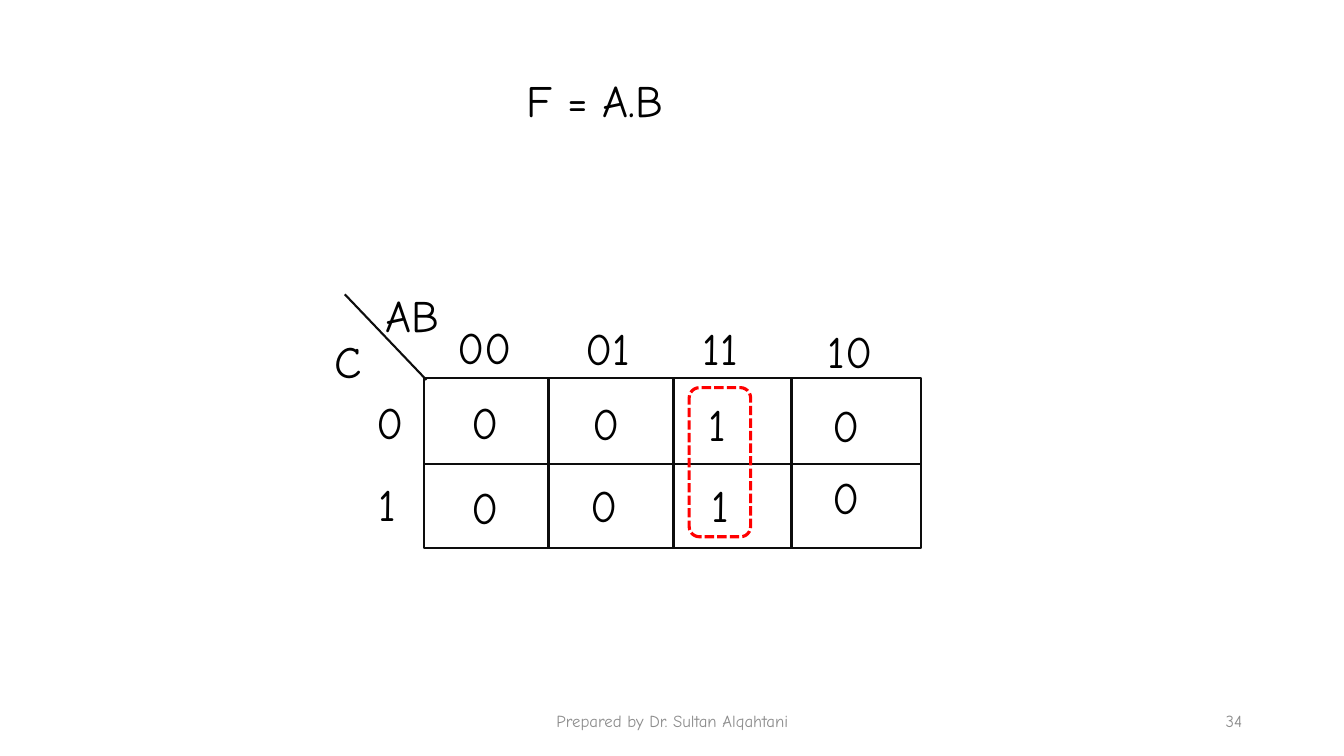
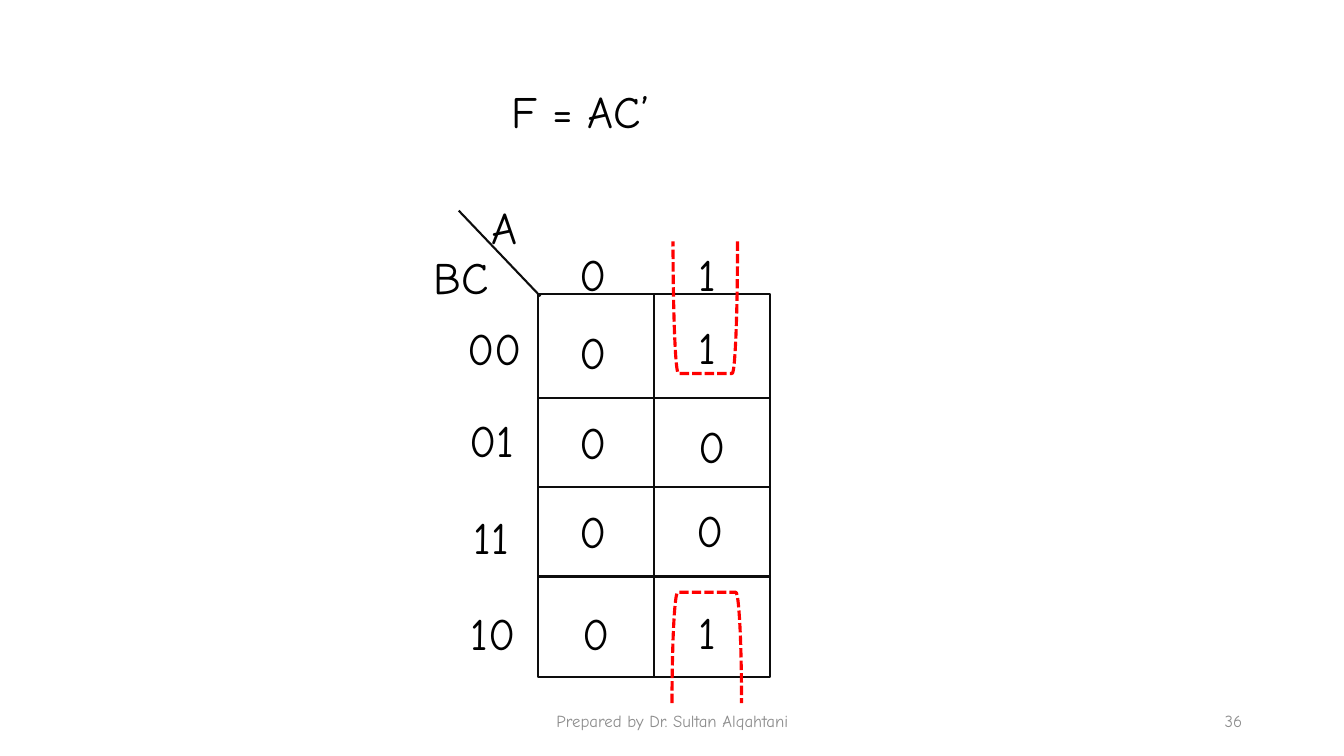
import pptx
import pptx.util
import pptx.dml.color
import pptx.enum.dml
import pptx.enum.shapes
import pptx.enum.text
import pptx.oxml.ns
import lxml.etree

Inches = pptx.util.Inches
Pt = pptx.util.Pt
RGBColor = pptx.dml.color.RGBColor
MSO_SHAPE = pptx.enum.shapes.MSO_SHAPE
PP_ALIGN = pptx.enum.text.PP_ALIGN
MSO_ANCHOR = pptx.enum.text.MSO_ANCHOR

BLACK = RGBColor(0x00, 0x00, 0x00)
INK = RGBColor(0x0D, 0x0D, 0x0D)
WHITE = RGBColor(0xFF, 0xFF, 0xFF)
RED = RGBColor(0xFF, 0x00, 0x00)
GRAY = RGBColor(0x8C, 0x8C, 0x8C)
FONT = "Comic Neue"
LABEL_HEIGHT = 0.64
LABEL_WIDTHS = {
    "0": 0.48, "1": 0.4, "00": 0.75, "01": 0.68, "11": 0.61, "10": 0.68,
    "A": 0.53, "C": 0.47, "AB": 0.81, "BC": 0.75,
}


def place(sp, left, top, width, height):
    sp.left, sp.top = Inches(left), Inches(top)
    sp.width, sp.height = Inches(width), Inches(height)


def add_run(p, text, size, color):
    r = p.add_run()
    r.text = text
    r.font.name = FONT
    r.font.size = Pt(size)
    r.font.color.rgb = color


def add_title(s, left, top, *parts):
    sp = s.shapes.title
    place(sp, left, top, 2.26, LABEL_HEIGHT)
    tf = sp.text_frame
    tf.auto_size = pptx.enum.text.MSO_AUTO_SIZE.NONE
    tf.vertical_anchor = MSO_ANCHOR.TOP
    p = tf.paragraphs[0]
    p.alignment = PP_ALIGN.LEFT
    for text in parts:
        add_run(p, text, 32, BLACK)


def add_label(s, text, left, top):
    sp = s.shapes.add_textbox(Inches(left), Inches(top),
                              Inches(LABEL_WIDTHS[text]), Inches(LABEL_HEIGHT))
    tf = sp.text_frame
    tf.word_wrap = False
    add_run(tf.paragraphs[0], text, 32, BLACK)


def add_footer_text(s, text, left, width, align):
    sp = s.shapes.add_textbox(Inches(left), Inches(6.95), Inches(width), Inches(0.4))
    tf = sp.text_frame
    tf.word_wrap = True
    tf.vertical_anchor = MSO_ANCHOR.MIDDLE
    p = tf.paragraphs[0]
    p.alignment = align
    add_run(p, text, 12, GRAY)


def add_line(s, x1, y1, x2, y2):
    sp = s.shapes.add_connector(pptx.enum.shapes.MSO_CONNECTOR.STRAIGHT,
                                Inches(x1), Inches(y1), Inches(x2), Inches(y2))
    sp.line.color.rgb = INK
    sp.line.width = Pt(1.5)
    lxml.etree.SubElement(sp._element.spPr, pptx.oxml.ns.qn("a:effectLst"))


def add_grid(s, left, top, width, height, columns, rows):
    sp = s.shapes.add_shape(MSO_SHAPE.RECTANGLE, Inches(left), Inches(top),
                            Inches(width), Inches(height))
    sp.shadow.inherit = False
    sp.fill.solid()
    sp.fill.fore_color.rgb = WHITE
    sp.line.color.rgb = INK
    sp.line.width = Pt(1.5)
    for x in columns:
        add_line(s, x, top, x, top + height)
    for y in rows:
        add_line(s, left, y, left + width, y)
    add_line(s, left + 0.02, top + 0.02, left - 0.79, top - 0.83)


def add_group_mark(s, kind, left, top, width, height, rotation):
    sp = s.shapes.add_shape(kind, Inches(left), Inches(top), Inches(width), Inches(height))
    sp.rotation = rotation
    sp.shadow.inherit = False
    sp.fill.background()
    sp.line.color.rgb = RED
    sp.line.width = Pt(2.25)
    sp.line.dash_style = pptx.enum.dml.MSO_LINE.SQUARE_DOT


def add_map_slide(prs, number, title, grid, labels, marks):
    s = prs.slides.add_slide(prs.slide_layouts.get_by_name("Title Only"))
    add_title(s, *title)
    add_grid(s, *grid)
    for label in labels:
        add_label(s, *label)
    for mark in marks:
        add_group_mark(s, *mark)
    add_footer_text(s, "Prepared by Dr. Sultan Alqahtani", 4.42, 4.5, PP_ALIGN.CENTER)
    add_footer_text(s, number, 9.42, 3, PP_ALIGN.RIGHT)


def main():
    prs = pptx.Presentation()
    prs.slide_width, prs.slide_height = Inches(13.33), Inches(7.5)

    add_map_slide(
        prs, "34", (5.12, 0.67, "F = ", "A.B"),
        (4.21, 3.75, 4.93, 1.69, (5.44, 6.68, 7.85), (4.6,)),
        [
            ("C", 3.22, 3.26), ("AB", 3.72, 2.81),
            ("00", 4.44, 3.12), ("01", 5.71, 3.13), ("11", 6.87, 3.13), ("10", 8.11, 3.16),
            ("0", 3.64, 3.87), ("0", 4.58, 3.87), ("0", 5.78, 3.88),
            ("1", 6.93, 3.89), ("0", 8.16, 3.9),
            ("1", 3.66, 4.68), ("0", 4.58, 4.71), ("0", 5.76, 4.69),
            ("1", 6.96, 4.69), ("0", 8.16, 4.61),
        ],
        [(MSO_SHAPE.ROUNDED_RECTANGLE, 6.4, 4.28, 1.48, 0.61, 270)],
    )
    add_map_slide(
        prs, "36", (4.97, 0.78, "F = ", "AC’"),
        (5.34, 2.92, 2.3, 3.8, (6.49,), (3.95, 4.83, 5.72)),
        [
            ("A", 4.78, 1.93), ("BC", 4.2, 2.43), ("0", 5.65, 2.4), ("1", 6.83, 2.4),
            ("00", 4.54, 3.13), ("0", 5.65, 3.17), ("1", 6.83, 3.12),
            ("01", 4.56, 4.05), ("0", 5.65, 4.07), ("0", 6.83, 4.1),
            ("11", 4.6, 5.01), ("0", 5.65, 4.95), ("0", 6.81, 4.94),
            ("10", 4.57, 5.96), ("0", 5.68, 5.96), ("1", 6.83, 5.95),
        ],
        [
            (MSO_SHAPE.RIGHT_BRACKET, 6.34, 2.73, 1.31, 0.64, 90),
            (MSO_SHAPE.RIGHT_BRACKET, 6.46, 6.08, 1.1, 0.69, 270),
        ],
    )
    prs.save("out.pptx")


main()
